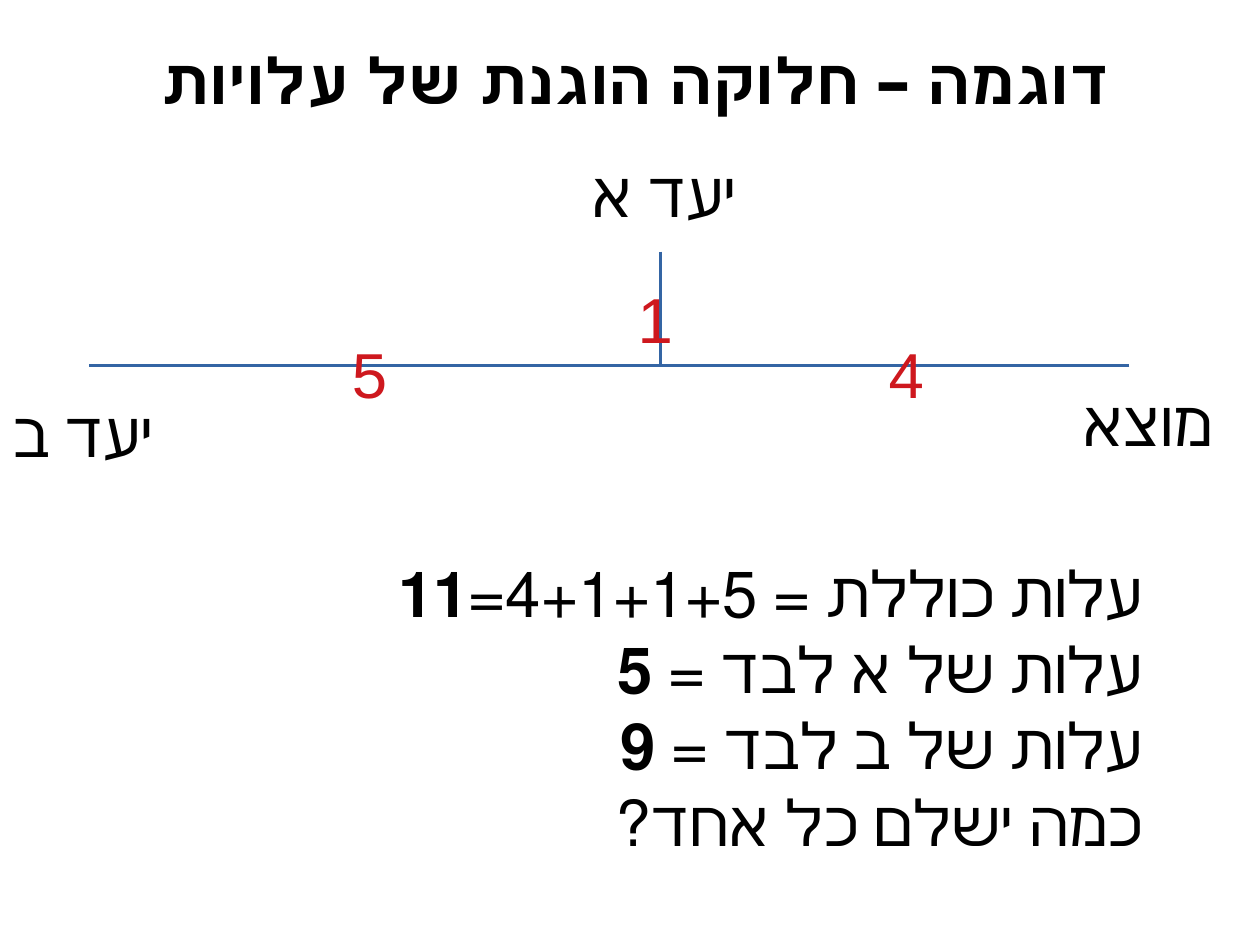
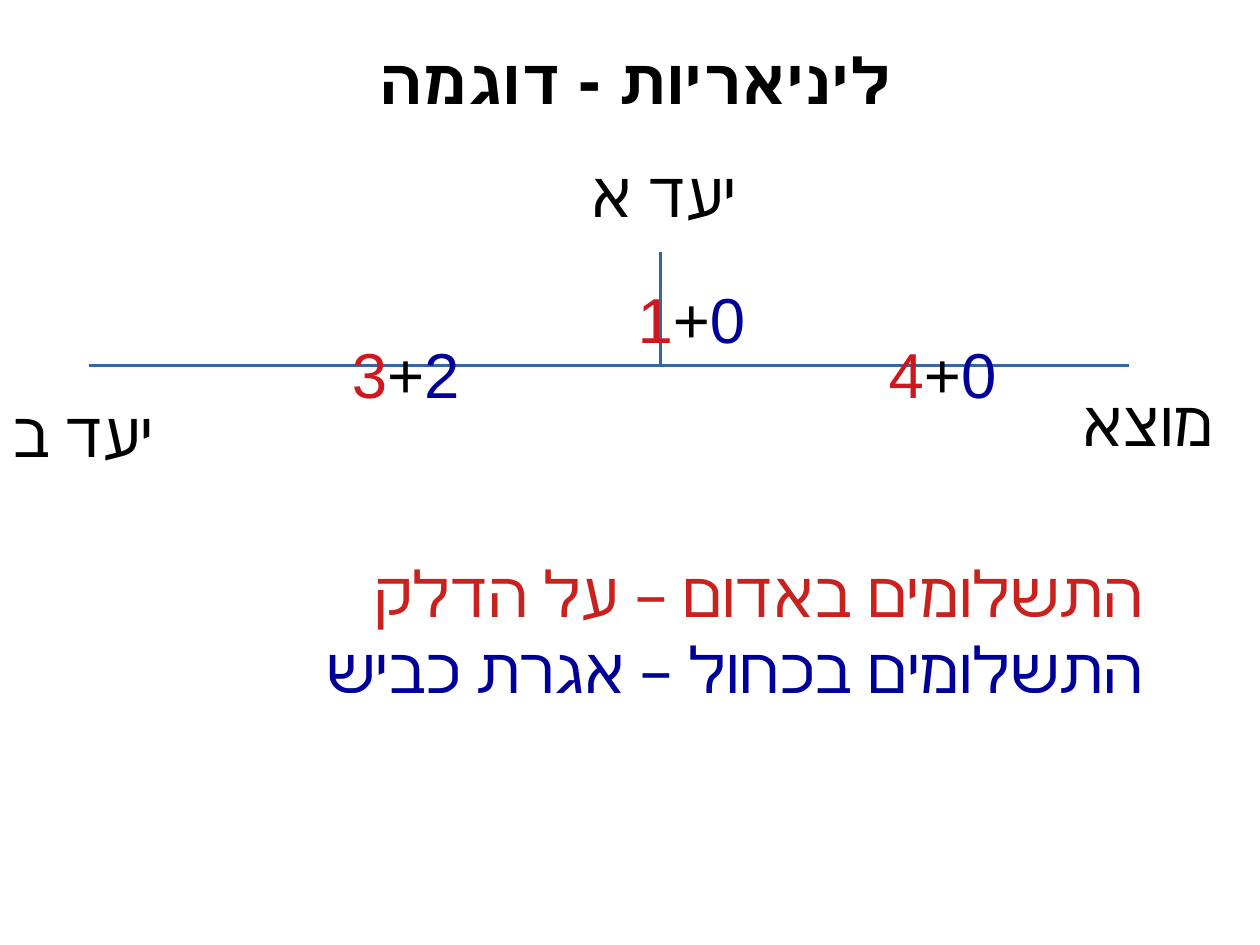
from dataclasses import dataclass

from lxml import etree
from pptx import Presentation
from pptx.dml.color import RGBColor
from pptx.enum.shapes import MSO_CONNECTOR
from pptx.enum.text import MSO_ANCHOR, MSO_AUTO_SIZE, PP_ALIGN
from pptx.oxml.ns import qn
from pptx.util import Cm, Pt

LINE = MSO_CONNECTOR.STRAIGHT
MID, TOP = MSO_ANCHOR.MIDDLE, MSO_ANCHOR.TOP
GROW = MSO_AUTO_SIZE.SHAPE_TO_FIT_TEXT
LEFT, RIGHT, CENTER = PP_ALIGN.LEFT, PP_ALIGN.RIGHT, PP_ALIGN.CENTER


@dataclass(frozen=True)
class Theme:
    font: str = "Arial"
    size: int = 40
    black: str = "000000"
    red: str = "CE181E"
    brick: str = "C9211E"
    blue: str = "000099"
    road: str = "3465A4"


THEME = Theme()


class Deck:
    """Holds the style and the current slide, and draws each kind of element."""

    def __init__(self, theme):
        self.theme = theme
        self.show = Presentation()
        self.show.slide_width, self.show.slide_height = Cm(28), Cm(21)
        self.slide = None

    def text(self, box, lines, align=LEFT, wrap=True, rtl=False, anchor=TOP, pad=None):
        frame = self.slide.shapes.add_textbox(*map(Cm, box)).text_frame
        frame.word_wrap = wrap
        frame.auto_size = GROW
        frame.vertical_anchor = anchor
        if pad is not None:
            frame.margin_left = frame.margin_right = Cm(pad)
            frame.margin_top = frame.margin_bottom = Cm(pad)
        for i, line in enumerate(lines):
            par = frame.add_paragraph() if i else frame.paragraphs[0]
            par.alignment = align
            if rtl:
                par._p.get_or_add_pPr().set("rtl", "1")
            for words, color, bold in line:
                run = par.add_run()
                run.text = words
                run.font.name = self.theme.font
                run.font.size = Pt(self.theme.size)
                run.font.bold = bold
                run.font.color.rgb = RGBColor.from_string(color)

    def title(self, words):
        self.slide = self.show.slides.add_slide(self.show.slide_layouts[6])
        self.text((0.25, -0.1, 27.75, 3.73), [[(words, self.theme.black, True)]],
                  CENTER, rtl=True, anchor=MID, pad=0)

    def line(self, *ends):
        road = self.slide.shapes.add_connector(LINE, *map(Cm, ends))
        road.line.color.rgb = RGBColor.from_string(self.theme.road)
        road.line.width = Pt(0)
        etree.SubElement(road._element.spPr, qn("a:effectLst"))

    def label(self, box, words, wrap=False):
        self.text(box, [[(words, self.theme.black, False)]], wrap=wrap)

    def cost(self, box, parts):
        hues = (self.theme.red, self.theme.black, self.theme.blue)
        self.text(box, [[(p, hue, False) for p, hue in zip(parts, hues)]], wrap=False)

    def map(self, east, west, north):
        self.line(25.1, 8.13, 1.98, 8.13)
        self.line(14.68, 5.59, 14.68, 8.13)
        self.label((23.8, 8.38, 3.63, 1.9), "מוצא")
        self.label((12.9, 3.3, 3.86, 1.9), "יעד א")
        self.label((0.03, 8.64, 3.73, 1.9), "יעד ב", wrap=True)
        self.cost((19.5, 7.32, 2.9, 1.83), east)
        self.cost((7.57, 7.32, 2.9, 1.83), west)
        self.cost((13.92, 6.1, 2.9, 2.29), north)

    def body(self, lines):
        self.text((2.03, 12.19, 23.62, 6.83), lines, RIGHT, rtl=True)


def main():
    deck = Deck(THEME)
    black = THEME.black

    deck.title("דוגמה – חלוקה הוגנת של עלויות")
    deck.map("4", "5", "1")
    sums = [("עלות כוללת = 4+1+1+5=", "11"),
            ("עלות של א לבד = ", "5"),
            ("עלות של ב לבד = ", "9")]
    rows = [[(words, black, False), (total, black, True)] for words, total in sums]
    deck.body(rows + [[("כמה ישלם כל אחד?", black, False)]])

    deck.title("ליניאריות - דוגמה")
    deck.map("4+0", "3+2", "1+0")
    deck.body([[("התשלומים באדום – על הדלק", THEME.brick, False)],
               [("התשלומים בכחול – אגרת כביש", THEME.blue, False)]])

    deck.show.save("out.pptx")


if __name__ == "__main__":
    main()
